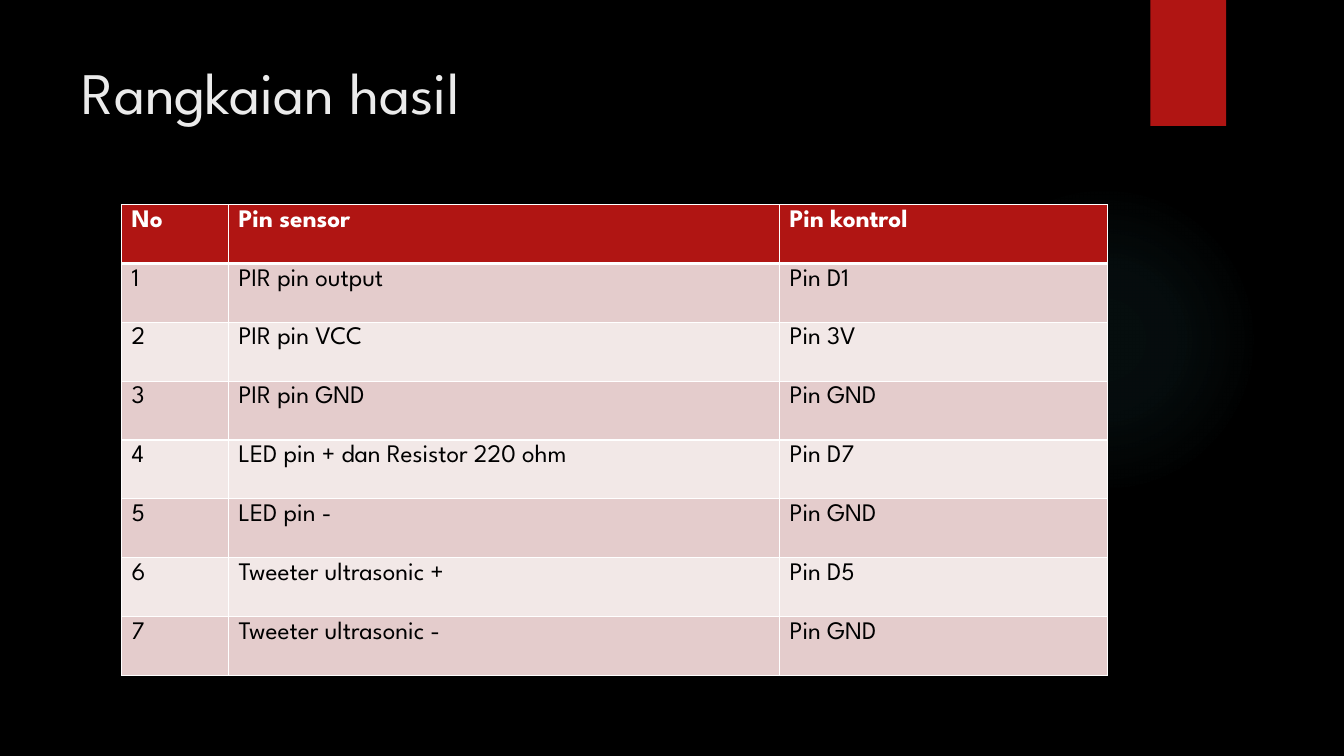
from dataclasses import dataclass

from lxml.etree import SubElement
from pptx import Presentation
from pptx.dml.color import RGBColor
from pptx.enum.shapes import MSO_SHAPE
from pptx.enum.text import MSO_ANCHOR, PP_ALIGN
from pptx.oxml import parse_xml
from pptx.oxml.ns import nsdecls, qn
from pptx.util import Emu, Inches, Pt

SLIDE_WIDTH = Inches(13.33)
SLIDE_HEIGHT = Inches(7.5)
FONT = "League Spartan"
COLOURS = {
    "background": "000000",
    "accent": "B01513",
    "glow": "50B9C1",
    "title": "EBEBEB",
    "border": "FFFFFF",
    "header_text": "FFFFFF",
    "body_text": "000000",
    "odd_row": "E4CCCC",
    "even_row": "F2E8E7",
}
GLOW_STOPS = ((0, 7), (36, 6), (69, 0))
HEADER = ("No", "Pin sensor", "Pin kontrol")
COLUMN_SHARES = (10.84, 55.88, 33.28)


@dataclass(frozen=True)
class Box:
    left: float
    top: float
    width: float
    height: float

    def lengths(self) -> tuple[Emu, Emu, Emu, Emu]:
        return (
            Emu(round(SLIDE_WIDTH * self.left / 100)),
            Emu(round(SLIDE_HEIGHT * self.top / 100)),
            Emu(round(SLIDE_WIDTH * self.width / 100)),
            Emu(round(SLIDE_HEIGHT * self.height / 100)),
        )


@dataclass(frozen=True)
class Connection:
    sensor: str
    board: str


GLOW_BOX = Box(70.59, 24.4, 23.11, 41.07)
TAB_BOX = Box(85.6, 0, 5.63, 16.67)
TITLE_BOX = Box(5.33, 6.67, 77.19, 20.4)
TABLE_BOX = Box(9.05, 27.07, 73.37, 62.27)
CONNECTIONS = (
    Connection("PIR pin output", "Pin D1"),
    Connection("PIR pin VCC", "Pin 3V"),
    Connection("PIR pin GND", "Pin GND"),
    Connection("LED pin + dan Resistor 220 ohm", "Pin D7"),
    Connection("LED pin -", "Pin GND"),
    Connection("Tweeter ultrasonic +", "Pin D5"),
    Connection("Tweeter ultrasonic -", "Pin GND"),
)


def colour(name: str) -> RGBColor:
    return RGBColor.from_string(COLOURS[name])


def add_run(paragraph, text: str, size: float, colour_name: str, bold: bool = False) -> None:
    run = paragraph.add_run()
    run.text = text
    run.font.name = FONT
    run.font.size = Pt(size)
    run.font.bold = bold
    run.font.color.rgb = colour(colour_name)


def add_plain_shape(slide, kind: MSO_SHAPE, box: Box):
    shape = slide.shapes.add_shape(kind, *box.lengths())
    shape.shadow.inherit = False
    shape.line.fill.background()
    return shape


def add_glow(slide) -> None:
    shape = add_plain_shape(slide, MSO_SHAPE.OVAL, GLOW_BOX)
    shape.fill.background()
    stops = "".join(
        f'<a:gs pos="{position * 1000}"><a:srgbClr val="{COLOURS["glow"]}">'
        f'<a:alpha val="{opacity * 1000}"/></a:srgbClr></a:gs>'
        for position, opacity in GLOW_STOPS
    )
    gradient = parse_xml(
        f'<a:gradFill {nsdecls("a")} rotWithShape="1"><a:gsLst>{stops}</a:gsLst>'
        '<a:path path="circle"><a:fillToRect l="50000" t="50000" r="50000" b="50000"/>'
        "</a:path></a:gradFill>"
    )
    properties = shape.element.spPr
    properties.replace(properties.find(qn("a:noFill")), gradient)


def add_tab(slide) -> None:
    shape = add_plain_shape(slide, MSO_SHAPE.RECTANGLE, TAB_BOX)
    shape.fill.solid()
    shape.fill.fore_color.rgb = colour("accent")


def fill_title(slide) -> None:
    title = slide.shapes.title
    title.left, title.top, title.width, title.height = TITLE_BOX.lengths()
    title.text_frame.word_wrap = True
    title.text_frame.vertical_anchor = MSO_ANCHOR.TOP
    paragraph = title.text_frame.paragraphs[0]
    paragraph.alignment = PP_ALIGN.LEFT
    add_run(paragraph, "Rangkaian hasil", 42, "title")


def set_borders(cell, row: int) -> None:
    properties = cell._tc.get_or_add_tcPr()
    widths = {
        "a:lnL": 1,
        "a:lnR": 1,
        "a:lnT": 3 if row == 1 else 1,
        "a:lnB": 3 if row == 0 else 1,
    }
    for index, (tag, width) in enumerate(widths.items()):
        line = SubElement(properties, qn(tag), w=str(Pt(width)))
        fill = SubElement(line, qn("a:solidFill"))
        SubElement(fill, qn("a:srgbClr"), val=COLOURS["border"])
        properties.insert(index, line)


def fill_cell(cell, text: str, row: int) -> None:
    is_header = row == 0
    fill_name = "accent" if is_header else "odd_row" if row % 2 else "even_row"
    cell.fill.solid()
    cell.fill.fore_color.rgb = colour(fill_name)
    set_borders(cell, row)
    text_colour = "header_text" if is_header else "body_text"
    add_run(cell.text_frame.paragraphs[0], text, 18, text_colour, is_header)


def add_pin_table(slide) -> None:
    rows = [HEADER] + [
        (str(number), connection.sensor, connection.board)
        for number, connection in enumerate(CONNECTIONS, start=1)
    ]
    left, top, width, height = TABLE_BOX.lengths()
    table = slide.shapes.add_table(
        len(rows), len(HEADER), left, top, width, height
    ).table
    for column, share in zip(table.columns, COLUMN_SHARES):
        column.width = Emu(round(width * share / 100))
    for row, texts in enumerate(rows):
        for column, text in enumerate(texts):
            fill_cell(table.cell(row, column), text, row)


def main() -> None:
    presentation = Presentation()
    presentation.slide_width = SLIDE_WIDTH
    presentation.slide_height = SLIDE_HEIGHT
    slide = presentation.slides.add_slide(presentation.slide_layouts[5])
    slide.background.fill.solid()
    slide.background.fill.fore_color.rgb = colour("background")
    add_glow(slide)
    add_tab(slide)
    fill_title(slide)
    add_pin_table(slide)
    presentation.save("out.pptx")


if __name__ == "__main__":
    main()
